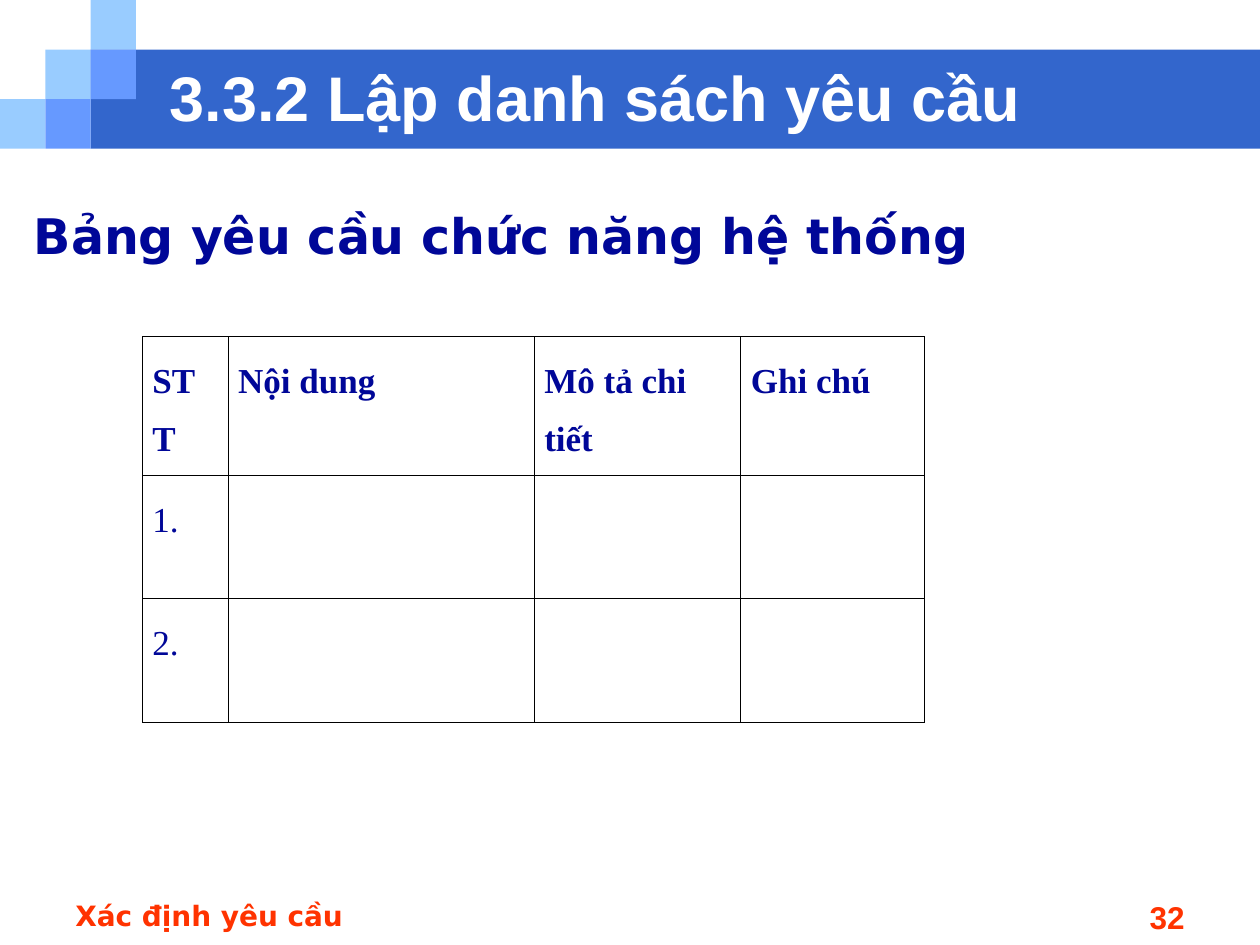
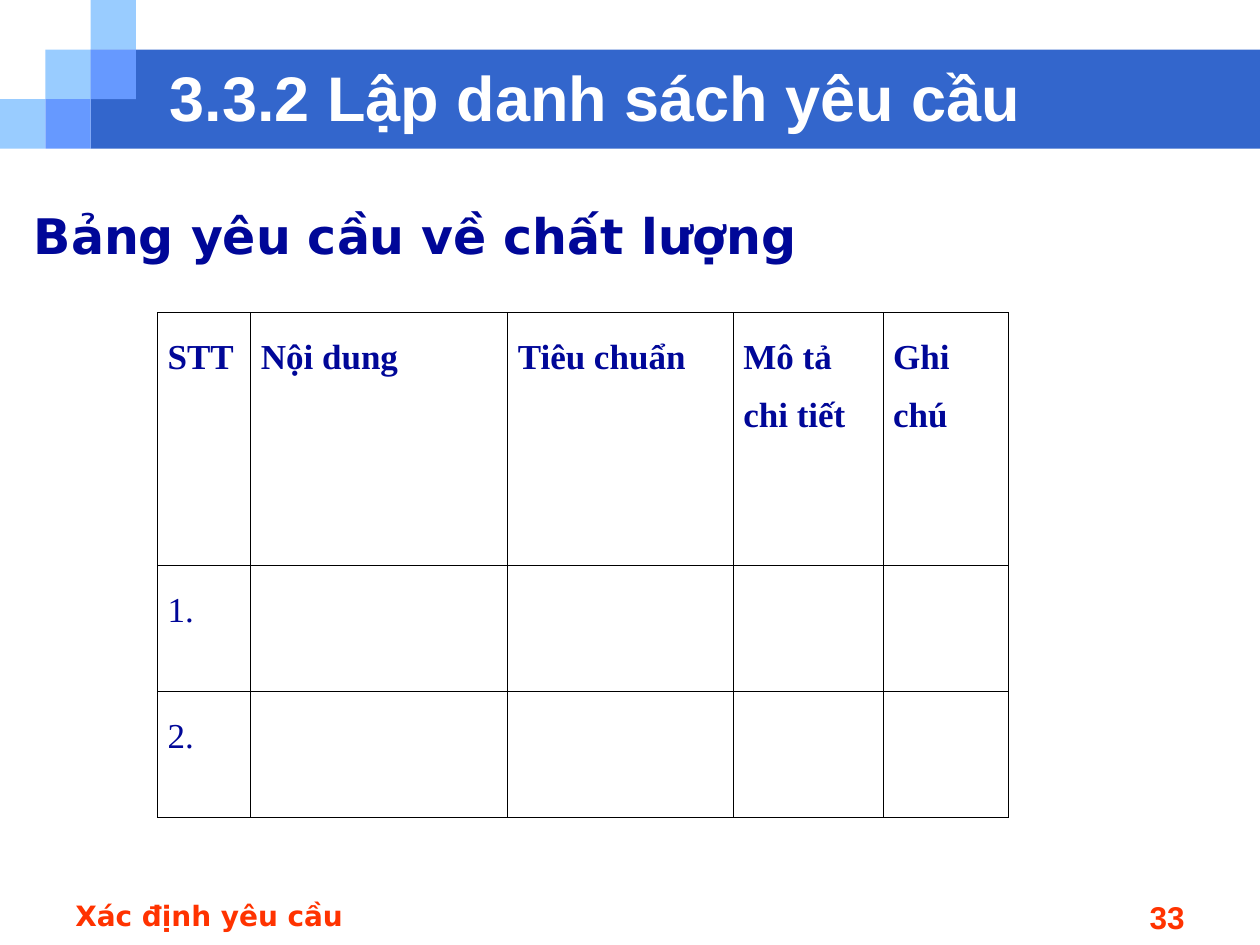
"""Builds two slides with tables for listing system requirements."""
from lxml.etree import SubElement
from pptx import Presentation
from pptx.dml.color import RGBColor
from pptx.enum.shapes import MSO_SHAPE
from pptx.enum.text import MSO_ANCHOR, PP_ALIGN
from pptx.oxml.ns import qn
from pptx.util import Inches, Pt

TITLE = "3.3.2 Lập danh sách yêu cầu"
FOOTER = "Xác định yêu cầu"
SLIDES = [
    {
        "heading": "Bảng yêu cầu chức năng hệ thống",
        "number": 32,
        "origin": (1.13, 2.67),
        "columns": [("STT", 0.68), ("Nội dung", 2.43), ("Mô tả chi tiết", 1.64), ("Ghi chú", 1.46)],
        "rows": [("", 1), ("1.", 0.98), ("2.", 0.98)],
    },
    {
        "heading": "Bảng yêu cầu về chất lượng",
        "number": 33,
        "origin": (1.25, 2.48),
        "columns": [("STT", 0.74), ("Nội dung", 2.04), ("Tiêu chuẩn", 1.79),
                    ("Mô tả chi tiết", 1.19), ("Ghi chú", 0.99)],
        "rows": [("", 2.01), ("1.", 1), ("2.", 1)],
    },
]

COLORS = {
    "band": "3366CC", "light": "99CCFF", "middle": "6699FF", "title": "FFFFFF",
    "text": "000798", "footer": "FF3300", "border": "000000",
}
PAGE_WIDTH, PAGE_HEIGHT = 10, 7.5
TILE_WIDTH, TILE_HEIGHT = 0.36, 1.18 / 3
TILES = [(0, 2, "light"), (1, 1, "light"), (2, 0, "light"), (2, 1, "middle"), (1, 2, "middle")]


def color(name):
    return RGBColor.from_string(COLORS[name])


def style(para, font_name, size, color_name, bold=True):
    font = para.font
    font.name, font.size, font.bold = font_name, Pt(size), bold
    font.color.rgb = color(color_name)


def add_block(page, left, top, width, height, color_name):
    block = page.shapes.add_shape(MSO_SHAPE.RECTANGLE, *map(Inches, (left, top, width, height)))
    block.shadow.inherit = False
    block.fill.solid()
    block.fill.fore_color.rgb = color(color_name)
    block.line.fill.background()


def add_text(page, area, text, font_name, size, color_name,
             align=PP_ALIGN.LEFT, anchor=MSO_ANCHOR.TOP):
    frame = page.shapes.add_textbox(*map(Inches, area)).text_frame
    frame.word_wrap = True
    frame.vertical_anchor = anchor
    para = frame.paragraphs[0]
    para.text = text
    para.alignment = align
    style(para, font_name, size, color_name)


def add_frame(page, number):
    band_left = 2 * TILE_WIDTH
    add_block(page, band_left, TILE_HEIGHT, PAGE_WIDTH - band_left, 2 * TILE_HEIGHT, "band")
    for column, row, color_name in TILES:
        add_block(page, column * TILE_WIDTH, row * TILE_HEIGHT, TILE_WIDTH, TILE_HEIGHT, color_name)
    add_text(page, (1.25, 0.5, 8.08, 0.53), TITLE, "Arial", 36, "title", anchor=MSO_ANCHOR.MIDDLE)
    add_text(page, (7.17, 7.08, 2.33, 0.35), str(number), "Arial", 18, "footer", PP_ALIGN.RIGHT)
    add_text(page, (0.5, 7.08, 3.17, 0.35), FOOTER, "DejaVu Sans", 16, "footer")


def format_cell(cell):
    cell.margin_left = cell.margin_right = Inches(0.08)
    properties = cell._tc.get_or_add_tcPr()
    for side in ("a:lnL", "a:lnR", "a:lnT", "a:lnB"):
        line = SubElement(properties, qn(side), w=str(Pt(0.45)))
        fill = SubElement(line, qn("a:solidFill"))
        SubElement(fill, qn("a:srgbClr"), val=COLORS["border"])
    cell.fill.background()


def add_requirements(page, origin, columns, rows):
    width = sum(size for _, size in columns)
    height = sum(size for _, size in rows)
    table = page.shapes.add_table(
        len(rows), len(columns), *map(Inches, (*origin, width, height))).table
    table.first_row = table.horz_banding = False
    for column, (_, size) in zip(table.columns, columns):
        column.width = Inches(size)
    for row_index, (label, size) in enumerate(rows):
        table.rows[row_index].height = Inches(size)
        is_header = row_index == 0
        for column_index, (name, _) in enumerate(columns):
            cell = table.cell(row_index, column_index)
            format_cell(cell)
            text = name if is_header else label if column_index == 0 else ""
            if text:
                cell.text = text
                para = cell.text_frame.paragraphs[0]
                para.line_spacing = 1.5
                para.space_after = Pt(6)
                style(para, "Times New Roman", 20, "text", is_header)


def main():
    deck = Presentation()
    deck.slide_width, deck.slide_height = Inches(PAGE_WIDTH), Inches(PAGE_HEIGHT)
    for content in SLIDES:
        page = deck.slides.add_slide(deck.slide_layouts[6])
        add_frame(page, content["number"])
        add_text(page, (0.17, 1.58, 9.71, 5.17), content["heading"], "DejaVu Sans", 28, "text")
        add_requirements(page, content["origin"], content["columns"], content["rows"])
    deck.save("out.pptx")


if __name__ == "__main__":
    main()
